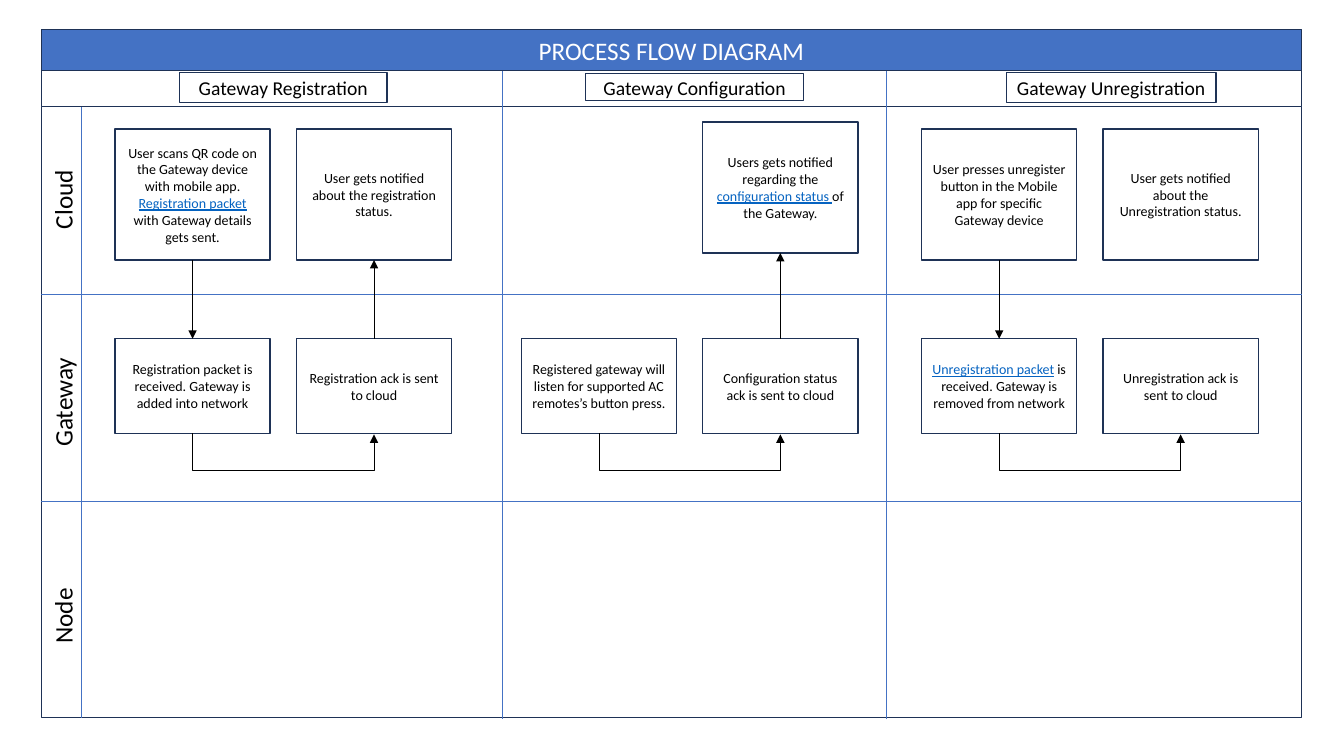
from lxml import etree
from pptx import Presentation
from pptx.dml.color import RGBColor
from pptx.enum.shapes import MSO_CONNECTOR, MSO_SHAPE
from pptx.enum.text import MSO_ANCHOR, PP_ALIGN
from pptx.oxml.ns import qn
from pptx.util import Inches, Pt

COLORS = {"blue": "4472C4", "navy": "1E3256", "white": "FFFFFF",
          "black": "000000", "link": "0563C1"}
FONT = "Calibri"
LEFT, WIDTH, BOTTOM = 0.41, 12.5, 7.12
LANES_TOP = 1.05
STEP_WIDTH, STEP_PITCH = 1.54, 1.8
CLOUD_HEIGHT, GATEWAY_TOP, GATEWAY_HEIGHT = 1.3, 3.36, 0.94

# Lane name, vertical centre of its label
LANES = [("Cloud", 1.98), ("Gateway", 3.99), ("Node", 6.11)]

# Step text is a list of pieces; a piece starting with "@" is shown as a link.
PROCESSES = [
    {"title": "Gateway Registration", "title_box": (1.78, 0.72, 2.06, 0.3),
     "left": 1.14, "cloud_top": 1.28, "arrows": ("down", "up"),
     "cloud": [["User scans QR code on the Gateway device with mobile app. ",
                "@Registration packet ", "with Gateway details gets sent."],
               ["User gets notified about the registration status."]],
     "gateway": [["Registration packet is received. Gateway is added into network"],
                 ["Registration ack is sent to cloud"]]},
    {"title": "Gateway Configuration", "title_box": (5.81, 0.73, 2.16, 0.27),
     "left": 5.17, "cloud_top": 1.21, "arrows": (None, "up"),
     "cloud": [None, ["Users gets notified regarding the ",
                      "@configuration status ", "of the Gateway."]],
     "gateway": [["Registered gateway will listen for supported AC remotes’s button press. "],
                 ["Configuration status ack is sent to cloud"]]},
    {"title": "Gateway Unregistration", "title_box": (9.98, 0.72, 2.08, 0.3),
     "left": 9.14, "cloud_top": 1.28, "arrows": ("down", None),
     "cloud": [["User presses unregister button in the Mobile app for specific Gateway device"],
               ["User gets notified about the Unregistration status."]],
     "gateway": [["@Unregistration packet",
                  " is received. Gateway is removed from network"],
                 ["Unregistration ack is sent to cloud"]]},
]


def rgb(name):
    return RGBColor.from_string(COLORS[name])


def write(shape, pieces, size, color="black"):
    para = shape.text_frame.paragraphs[0]
    para.alignment = PP_ALIGN.CENTER
    for piece in pieces:
        span = para.add_run()
        span.text = piece.removeprefix("@")
        span.font.name, span.font.size = FONT, Pt(size)
        is_link = piece.startswith("@")
        span.font.color.rgb = rgb("link" if is_link else color)
        if is_link:
            span.font.underline = True


def add_box(slide, box, pieces=(), size=10, fill="white", color="black"):
    shape = slide.shapes.add_shape(MSO_SHAPE.RECTANGLE, *map(Inches, box))
    shape.shadow.inherit = False
    shape.fill.solid()
    shape.fill.fore_color.rgb = rgb(fill)
    shape.line.color.rgb = rgb("navy")
    shape.line.width = Pt(1)
    shape.text_frame.word_wrap = True
    shape.text_frame.vertical_anchor = MSO_ANCHOR.MIDDLE
    write(shape, pieces, size, color)


def add_line(slide, start, end, color="blue", kind=MSO_CONNECTOR.STRAIGHT, arrow=False):
    line = slide.shapes.add_connector(kind, *map(Inches, start + end))
    line.line.color.rgb = rgb(color)
    line.line.width = Pt(0.5)
    properties = line._element.spPr
    if arrow:
        etree.SubElement(properties.find(qn("a:ln")), qn("a:tailEnd"), type="triangle")
    etree.SubElement(properties, qn("a:effectLst"))
    return line


def add_u_turn(slide, start_x, end_x, top, drop=0.37):
    """Arrow that leaves downwards, runs right and comes back up."""
    rise = 0.01
    middle_x, middle_y = (start_x + end_x) / 2, top + rise / 2
    half = (end_x - start_x) / 2
    line = add_line(slide, (middle_x + rise / 2, middle_y - half),
                    (middle_x - rise / 2, middle_y + half),
                    "black", MSO_CONNECTOR.ELBOW, arrow=True)
    properties = line._element.spPr
    properties.find(qn("a:xfrm")).set("rot", str(270 * 60000))
    geometry = properties.find(qn("a:prstGeom"))
    adjustments = geometry.find(qn("a:avLst"))
    if adjustments is None:
        adjustments = etree.SubElement(geometry, qn("a:avLst"))
    etree.SubElement(adjustments, qn("a:gd"), name="adj1",
                     fmla=f"val {round(drop / rise * 100000)}")


def draw_lanes(slide):
    right = LEFT + WIDTH
    add_box(slide, (LEFT, LANES_TOP, WIDTH, BOTTOM - LANES_TOP))
    for y in (2.92, 4.97):
        add_line(slide, (LEFT, y), (right, y))
    add_line(slide, (0.81, LANES_TOP), (0.81, BOTTOM))
    width, height = 1.41, 0.4
    for name, center in LANES:
        label = slide.shapes.add_textbox(
            Inches(0.62 - width / 2), Inches(center - height / 2),
            Inches(width), Inches(height))
        label.rotation = 270
        label.text_frame.word_wrap = True
        write(label, [name], 18)


def draw_header(slide):
    add_box(slide, (LEFT, 0.29, WIDTH, 0.42), ["PROCESS FLOW DIAGRAM"],
            18, "blue", "white")
    add_box(slide, (LEFT, 0.7, WIDTH, 0.36))
    for x in (4.98, 8.79):
        add_line(slide, (x, 0.7), (x, BOTTOM + 0.01))


def draw_process(slide, process):
    add_box(slide, process["title_box"], [process["title"]], 14)
    cloud_top = process["cloud_top"]
    cloud_bottom = cloud_top + CLOUD_HEIGHT
    centers = []
    for column, arrow in enumerate(process["arrows"]):
        left = process["left"] + column * STEP_PITCH
        center = left + STEP_WIDTH / 2
        centers.append(center)
        if process["cloud"][column]:
            add_box(slide, (left, cloud_top, STEP_WIDTH, CLOUD_HEIGHT),
                    process["cloud"][column])
        add_box(slide, (left, GATEWAY_TOP, STEP_WIDTH, GATEWAY_HEIGHT),
                process["gateway"][column])
        ends = [(center, cloud_bottom), (center, GATEWAY_TOP)]
        if arrow == "up":
            ends.reverse()
        if arrow:
            add_line(slide, *ends, "black", arrow=True)
    add_u_turn(slide, *centers, GATEWAY_TOP + GATEWAY_HEIGHT)


def main():
    deck = Presentation()
    deck.slide_width, deck.slide_height = Inches(13.33), Inches(7.5)
    page = deck.slides.add_slide(deck.slide_layouts[6])
    draw_lanes(page)
    draw_header(page)
    for process in PROCESSES:
        draw_process(page, process)
    deck.save("out.pptx")


if __name__ == "__main__":
    main()
